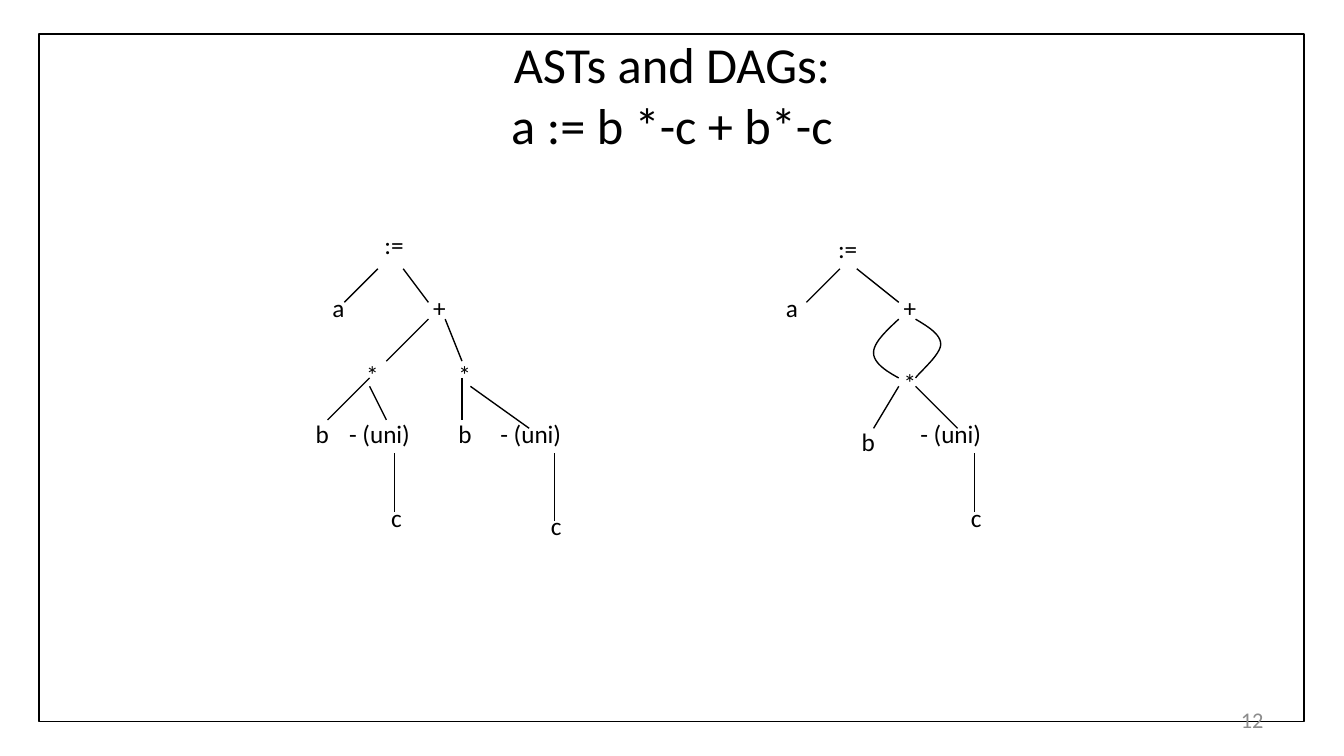
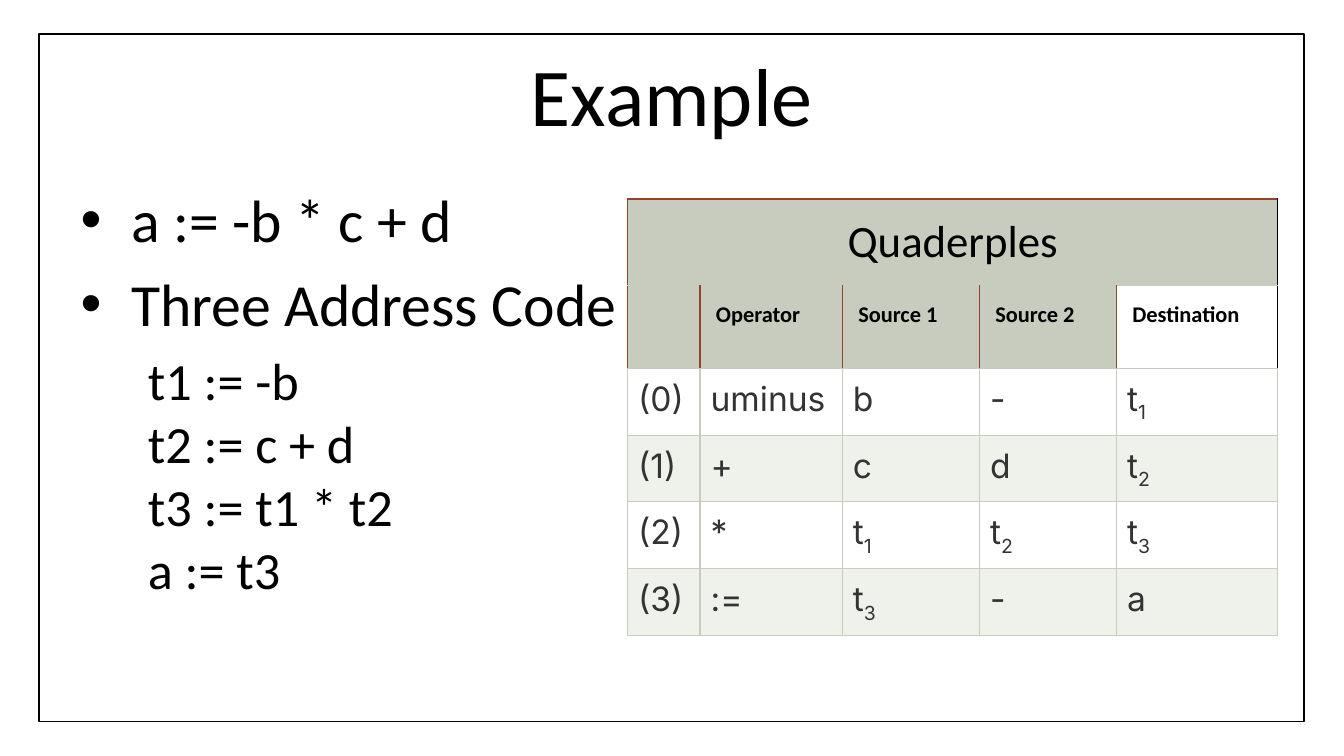
from lxml.etree import SubElement
from pptx import Presentation
from pptx.dml.color import RGBColor
from pptx.enum.shapes import MSO_CONNECTOR, MSO_SHAPE
from pptx.enum.text import MSO_ANCHOR as Anchor, MSO_AUTO_SIZE as AutoSize, PP_ALIGN as Align
from pptx.oxml.ns import qn
from pptx.util import Cm, Pt

BLACK = RGBColor(0x00, 0x00, 0x00)
WHITE = RGBColor(0xFF, 0xFF, 0xFF)
GREY = RGBColor(0x8C, 0x8C, 0x8C)
DARK = RGBColor(0x33, 0x33, 0x33)
SAGE = RGBColor(0xC7, 0xCC, 0xBE)
PALE = RGBColor(0xEF, 0xF1, 0xEB)
RUST = RGBColor(0x90, 0x45, 0x2A)
TEXT_FONT, TABLE_FONT = "Calibri", "Inter"

GRID = Cm(2.54) / 16
THIN = Pt(0.75)

TREE_TITLE = "ASTs and DAGs:\na := b *-c + b*-c"
PAGE_NUMBER = "12"
NODE_WIDTHS = {":=": 0.89, "a": 0.74, "- (uni)": 1.68, "c": 0.71}
NODES = [
    (":=", 44.2, 26.5), ("a", 38, 34), ("+", 50, 34),
    ("*", 42, 42), ("*", 53, 42),
    ("b", 36, 49), ("- (uni)", 40, 49), ("b", 53, 49), ("- (uni)", 58, 49),
    ("c", 45, 59), ("c", 64, 60),
    (":=", 98.2, 27), ("a", 92, 34), ("+", 106, 34), ("*", 106, 43),
    ("b", 101, 50), ("- (uni)", 108, 49), ("c", 114, 59),
]
EDGES = [
    (45, 32, 41, 36), (48, 32, 51, 36), (51, 38, 46, 43), (53, 38, 55, 43),
    (44, 45, 39, 50), (44, 46, 46, 50), (55, 45, 55, 50), (56, 46, 63, 51),
    (47, 54, 47, 61), (66, 54, 66, 62),
    (100, 32, 96, 36), (102, 32, 107, 36), (107, 46, 104, 51),
    (109, 46, 114, 51), (116, 54, 116, 61),
]
SHARED_EDGES = [
    [(107, 38), (105.5, 39.4), (104, 40.8), (104, 42),
     (104, 43.2), (105.5, 44.2), (107, 45)],
    [(109, 38), (110.5, 38.9), (112, 39.8), (112, 41),
     (112, 42.2), (109.5, 44.3), (109, 45)],
]

EXAMPLE_TITLE = "Example"
BULLETS = ["a := -b * c + d", "Three Address Code"]
CODE = "t1 := -b\nt2 := c + d\nt3 := t1 * t2\na := t3"
TABLE_TITLE = "Quaderples"
HEADINGS = ["", "Operator", "Source 1", "Source 2", "Destination"]
QUADRUPLES = [
    ["(0)", "uminus", "b", "-", "t_1"],
    ["(1)", "+", "c", "d", "t_2"],
    ["(2)", "*", "t_1", "t_2", "t_3"],
    ["(3)", ":=", "t_3", "-", "a"],
]
COLUMN_WIDTHS = [1.37, 2.69, 2.59, 2.59, 3.05]
ROW_HEIGHTS = [1.57] * 2 + [1.12] * 4


def assign(target, **values):
    for name, value in values.items():
        setattr(target, name, value)


def style(text, size, color=BLACK, name=TEXT_FONT, bold=False):
    assign(text.font, size=Pt(size), name=name, bold=bold)
    text.font.color.rgb = color


def place(shape, left, top, width, height):
    assign(shape, left=Cm(left), top=Cm(top), width=Cm(width), height=Cm(height))


def on_grid(*values):
    return [round(value * GRID) for value in values]


def add_slide(presentation, layout, title, size):
    slide = presentation.slides.add_slide(presentation.slide_layouts[layout])
    frame = slide.shapes.add_shape(MSO_SHAPE.RECTANGLE, Cm(0.74), Cm(0.64), Cm(23.9), Cm(13))
    frame.shadow.inherit = False
    frame.fill.solid()
    frame.fill.fore_color.rgb = WHITE
    frame.line.color.rgb = BLACK
    frame.line.width = Pt(1)
    slide.shapes._spTree.insert(2, frame._element)
    heading = slide.shapes.title
    place(heading, 1.27, 0.58, 22.86, 2.39)
    assign(heading.text_frame, auto_size=AutoSize.NONE, vertical_anchor=Anchor.MIDDLE)
    paragraph = heading.text_frame.paragraphs[0]
    assign(paragraph, text=title, alignment=Align.CENTER)
    style(paragraph, size)
    return slide


def add_page_number(slide):
    box = slide.shapes.add_textbox(Cm(18.21), Cm(13.23), Cm(5.92), Cm(0.76))
    assign(box.text_frame, word_wrap=True, vertical_anchor=Anchor.MIDDLE)
    paragraph = box.text_frame.paragraphs[0]
    assign(paragraph, text=PAGE_NUMBER, alignment=Align.RIGHT)
    style(paragraph, 12, GREY)


def add_node(slide, label, left, top):
    box = slide.shapes.add_textbox(*on_grid(left, top), Cm(NODE_WIDTHS.get(label, 0.76)), Cm(0.84))
    assign(box.text_frame, word_wrap=False, auto_size=AutoSize.SHAPE_TO_FIT_TEXT)
    paragraph = box.text_frame.paragraphs[0]
    paragraph.text = label
    style(paragraph, 13.5)


def add_edge(slide, ends):
    edge = slide.shapes.add_connector(MSO_CONNECTOR.STRAIGHT, *on_grid(*ends))
    edge.line.color.rgb = BLACK
    edge.line.width = THIN
    SubElement(edge._element.spPr, qn("a:effectLst"))


def bezier(controls, steps=12):
    for step in range(1, steps + 1):
        t = step / steps
        weights = ((1 - t) ** 3, 3 * t * (1 - t) ** 2, 3 * t * t * (1 - t), t ** 3)
        yield on_grid(*(sum(w * v for w, v in zip(weights, axis)) for axis in zip(*controls)))


def add_curve(slide, controls):
    builder = slide.shapes.build_freeform(*on_grid(*controls[0]))
    points = [*bezier(controls[:4]), *bezier(controls[3:])]
    builder.add_line_segments(points, close=False)
    curve = builder.convert_to_shape()
    curve.shadow.inherit = False
    curve.fill.background()
    curve.line.color.rgb = BLACK
    curve.line.width = THIN


def fill_body(body):
    place(body, 1.27, 3.33, 22.86, 9.42)
    text_frame = body.text_frame
    text_frame.auto_size = AutoSize.NONE
    for index, text in enumerate([*BULLETS, CODE]):
        paragraph = text_frame.add_paragraph() if index else text_frame.paragraphs[0]
        is_code = text == CODE
        size = 28 if is_code else 32
        assign(paragraph, text=text, level=int(is_code),
               space_before=Pt(size * 0.2 if index else 0))
        if is_code:
            properties = paragraph._p.get_or_add_pPr()
            properties.set("marL", str(Cm(1.27)))
            properties.set("indent", "0")
            SubElement(properties, qn("a:buNone"))
        style(paragraph, size)


def format_cell(cell, fill, margin, **edges):
    assign(cell, margin_left=margin, margin_right=margin, margin_top=margin, margin_bottom=margin)
    properties = cell._tc.get_or_add_tcPr()
    for side in "LRTB":
        line = SubElement(properties, qn(f"a:ln{side}"), w=str(THIN))
        color = SubElement(SubElement(line, qn("a:solidFill")), qn("a:srgbClr"))
        color.set("val", str(edges.get(side, SAGE)))
    if fill is None:
        cell.fill.background()
    else:
        cell.fill.solid()
        cell.fill.fore_color.rgb = fill


def write_value(cell, value):
    paragraph = cell.text_frame.paragraphs[0]
    paragraph.alignment = Align.JUSTIFY
    for index, part in enumerate(value.split("_")):
        run = paragraph.add_run()
        run.text = part
        style(run, 18, DARK, TABLE_FONT)
        if index:
            run.font._element.set("baseline", "-25000")


def add_quadruples(slide):
    frame = slide.shapes.add_table(len(ROW_HEIGHTS), len(COLUMN_WIDTHS),
                                   Cm(11.86), Cm(3.76), Cm(12.27), Cm(8.05))
    table = frame.table
    assign(table, first_row=False, horz_banding=False)
    for column, width in zip(table.columns, COLUMN_WIDTHS):
        column.width = Cm(width)
    for row, height in zip(table.rows, ROW_HEIGHTS):
        row.height = Cm(height)
    frame.height = Cm(8.05)

    last = len(HEADINGS) - 1
    table.cell(0, 0).merge(table.cell(0, last))
    for column, heading in enumerate(HEADINGS):
        right = BLACK if column == last else RUST
        format_cell(table.cell(0, column), SAGE, Cm(0.3), L=RUST, T=RUST, R=BLACK)
        cell = table.cell(1, column)
        format_cell(cell, None if column == last else SAGE, Cm(0.3), L=RUST, R=right)
        paragraph = cell.text_frame.paragraphs[0]
        if heading:
            paragraph.text = heading
            style(paragraph, 12, bold=True)
    paragraph = table.cell(0, 0).text_frame.paragraphs[0]
    assign(paragraph, text=TABLE_TITLE, alignment=Align.CENTER)
    style(paragraph, 24)

    for index, values in enumerate(QUADRUPLES):
        for column, value in enumerate(values):
            cell = table.cell(index + 2, column)
            format_cell(cell, PALE if index % 2 else WHITE, Cm(0.2))
            write_value(cell, value)


def main():
    presentation = Presentation()
    assign(presentation, slide_width=Cm(25.4), slide_height=Cm(14.29))

    trees = add_slide(presentation, 5, TREE_TITLE, 27)
    add_page_number(trees)
    for node in NODES:
        add_node(trees, *node)
    for ends in EDGES:
        add_edge(trees, ends)
    for controls in SHARED_EDGES:
        add_curve(trees, controls)

    example = add_slide(presentation, 1, EXAMPLE_TITLE, 44)
    fill_body(example.placeholders[1])
    add_quadruples(example)

    presentation.save("out.pptx")


if __name__ == "__main__":
    main()
